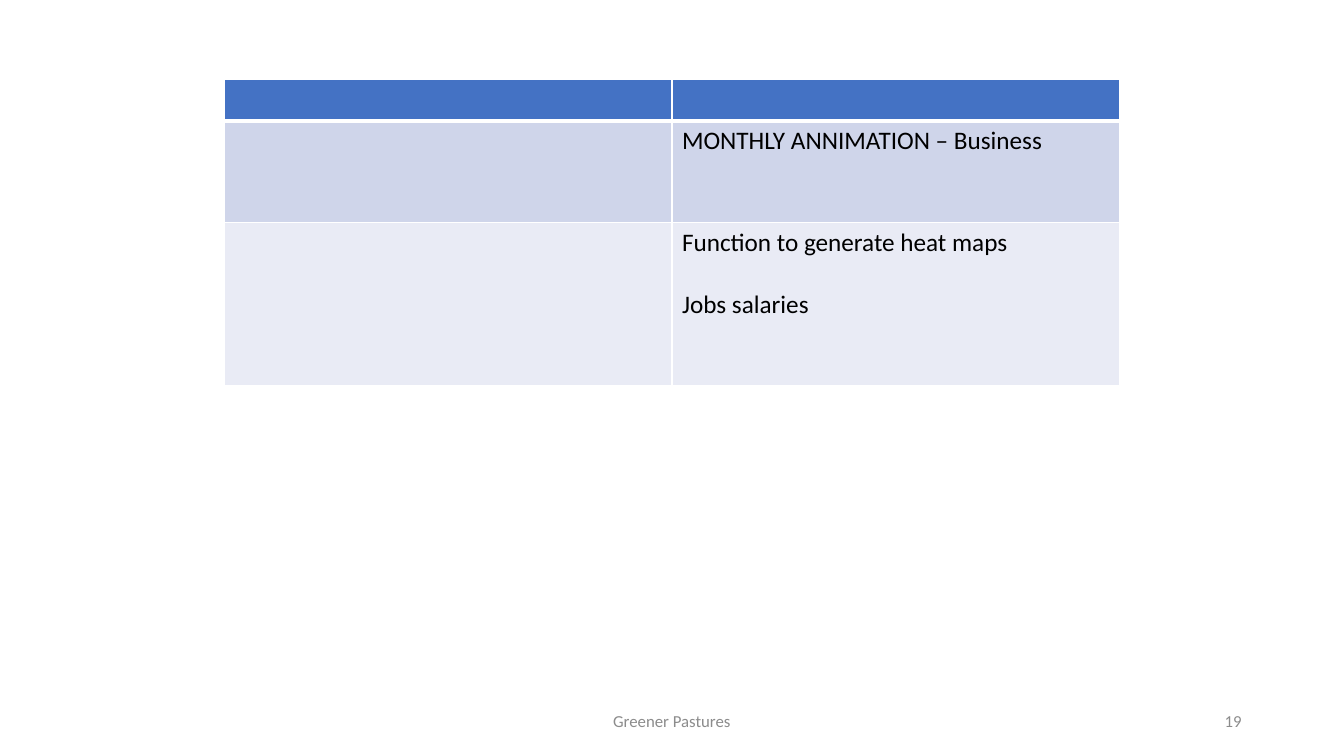
from dataclasses import dataclass

import lxml.etree
import pptx
import pptx.dml.color
import pptx.enum.text
import pptx.oxml.ns
import pptx.util

Pt = pptx.util.Pt
RGBColor = pptx.dml.color.RGBColor
Align = pptx.enum.text.PP_ALIGN

BLUE = RGBColor(0x44, 0x72, 0xC4)
BAND_DARK = RGBColor(0xCF, 0xD5, 0xEA)
BAND_LIGHT = RGBColor(0xE9, 0xEB, 0xF5)
WHITE = RGBColor(0xFF, 0xFF, 0xFF)
BLACK = RGBColor(0, 0, 0)
GREY = RGBColor(0x8C, 0x8C, 0x8C)

FONT = "Calibri"
LINE_GAP = 22
COLUMN_WIDTH = 320
THIN, THICK = 1, 3


@dataclass(frozen=True)
class TaskRow:
    height: float
    fill: RGBColor
    tasks: tuple[str, ...] = ()
    top: float = THIN
    bottom: float = THIN


@dataclass(frozen=True)
class FooterItem:
    text: str
    left: float
    width: float
    align: Align


TASK_ROWS = (
    TaskRow(29.2, BLUE, bottom=THICK),
    TaskRow(72.7, BAND_DARK, ("MONTHLY ANNIMATION – Business",), top=THICK),
    TaskRow(116.7, BAND_LIGHT, ("Function to generate heat maps", "Jobs salaries")),
)
FOOTER = (
    FooterItem("Greener Pastures", 318, 324, Align.CENTER),
    FooterItem("19", 678, 216, Align.RIGHT),
)


def add_run(paragraph, text: str, size: float, color: RGBColor) -> None:
    run = paragraph.add_run()
    run.text = text
    run.font.name = FONT
    run.font.size = Pt(size)
    run.font.color.rgb = color


def add_borders(cell, row: TaskRow) -> None:
    qn = pptx.oxml.ns.qn
    properties = cell._tc.get_or_add_tcPr()
    widths = {"lnL": THIN, "lnR": THIN, "lnT": row.top, "lnB": row.bottom}
    for edge, width in widths.items():
        line = lxml.etree.SubElement(properties, qn(f"a:{edge}"), w=str(Pt(width)))
        solid = lxml.etree.SubElement(line, qn("a:solidFill"))
        lxml.etree.SubElement(solid, qn("a:srgbClr"), val=str(WHITE))


def add_task_table(slide) -> None:
    height = sum(row.height for row in TASK_ROWS)
    table = slide.shapes.add_table(
        len(TASK_ROWS), 2, Pt(160), Pt(57), Pt(2 * COLUMN_WIDTH), Pt(height)
    ).table
    for row, table_row in zip(TASK_ROWS, table.rows):
        table_row.height = Pt(row.height)
        for cell in table_row.cells:
            add_borders(cell, row)
            cell.fill.solid()
            cell.fill.fore_color.rgb = row.fill
        frame = table_row.cells[1].text_frame
        for index, task in enumerate(row.tasks):
            paragraph = frame.add_paragraph() if index else frame.paragraphs[0]
            paragraph.space_before = Pt(LINE_GAP if index else 0)
            add_run(paragraph, task, 18, BLACK)


def add_footer_item(slide, item: FooterItem) -> None:
    frame = slide.shapes.add_textbox(
        Pt(item.left), Pt(500.5), Pt(item.width), Pt(28.75)
    ).text_frame
    frame.word_wrap = True
    frame.vertical_anchor = pptx.enum.text.MSO_ANCHOR.MIDDLE
    frame.paragraphs[0].alignment = item.align
    add_run(frame.paragraphs[0], item.text, 12, GREY)


def main() -> None:
    deck = pptx.Presentation()
    deck.slide_width, deck.slide_height = Pt(960), Pt(540)
    slide = deck.slides.add_slide(deck.slide_layouts[6])
    add_task_table(slide)
    for item in FOOTER:
        add_footer_item(slide, item)
    deck.save("out.pptx")


if __name__ == "__main__":
    main()
